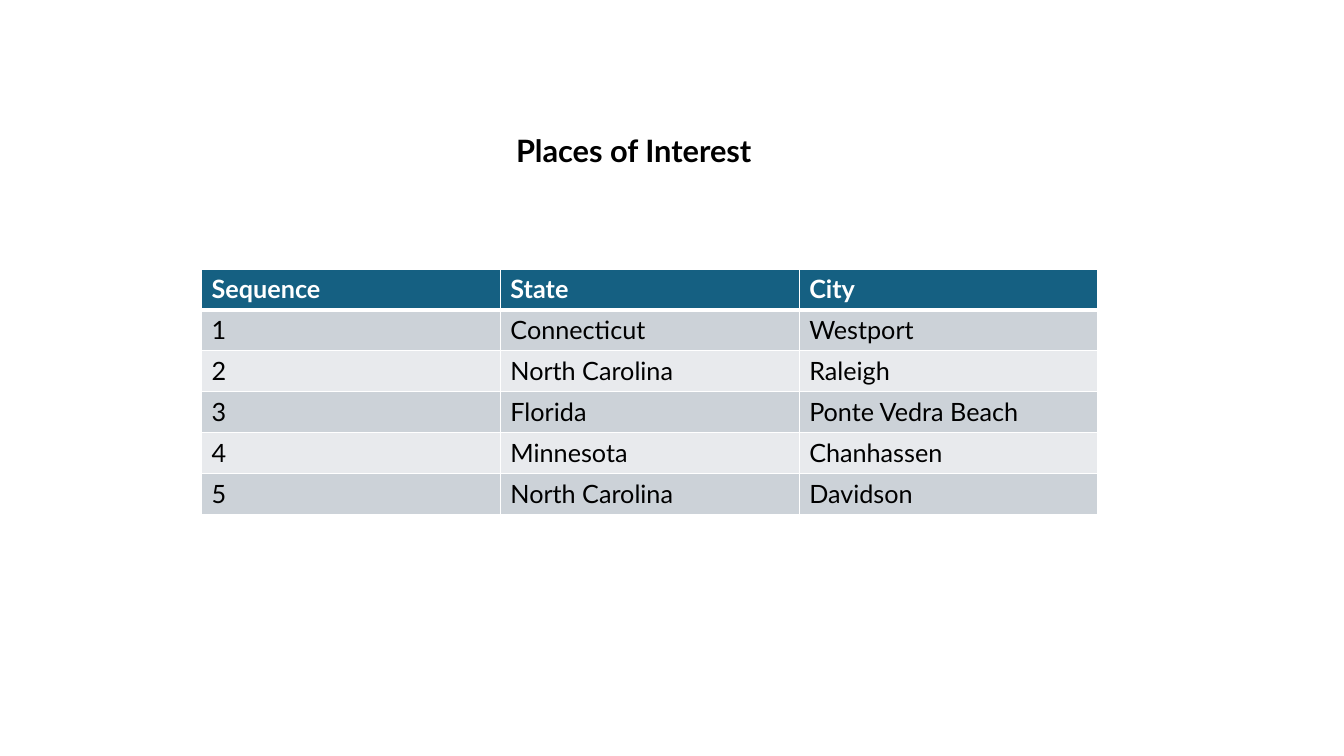
from lxml.etree import SubElement
from pptx import Presentation
from pptx.dml.color import RGBColor
from pptx.enum.text import MSO_ANCHOR as Anchor, MSO_AUTO_SIZE as AutoSize, PP_ALIGN as Align
from pptx.oxml.ns import qn
from pptx.util import Cm, Pt

COLORS = {
    "text": "000000",
    "header": "156082",
    "odd": "CCD2D8",
    "even": "E8EAED",
    "white": "FFFFFF",
}
PLACES = [
    ("Sequence", "State", "City"),
    ("1", "Connecticut", "Westport"),
    ("2", "North Carolina", "Raleigh"),
    ("3", "Florida", "Ponte Vedra Beach"),
    ("4", "Minnesota", "Chanhassen"),
    ("5", "North Carolina", "Davidson"),
]


class PlacesSlide:
    """Hold the font and the current page, and add elements to it."""

    def __init__(self, deck, font="Lato"):
        """Add a title-only page to the deck."""
        self.font = font
        self.page = deck.slides.add_slide(deck.slide_layouts[5])

    def style(self, para, size, color, bold):
        """Format the runs of a left-aligned paragraph."""
        para.alignment = Align.LEFT
        for span in para.runs:
            span.font.name = self.font
            span.font.size = Pt(size)
            span.font.bold = bold
            span.font.color.rgb = RGBColor.from_string(COLORS[color])

    def title(self, text, left, top, width, height):
        """Place and format the title placeholder."""
        box = self.page.shapes.title
        box.left, box.top, box.width, box.height = map(Cm, (left, top, width, height))
        frame = box.text_frame
        frame.text = text
        frame.word_wrap = True
        frame.auto_size = AutoSize.SHAPE_TO_FIT_TEXT
        frame.vertical_anchor = Anchor.TOP
        self.style(frame.paragraphs[0], 22, "text", True)

    def border(self, cell, side, points):
        """Draw one white border of a cell."""
        line = SubElement(cell._tc.get_or_add_tcPr(), qn(f"a:ln{side}"), w=str(Pt(points)))
        fill = SubElement(line, qn("a:solidFill"))
        SubElement(fill, qn("a:srgbClr"), val=COLORS["white"])

    def table(self, rows, left, top, column_width, row_height):
        """Add a table with a dark header and alternating row fills."""
        count, columns = len(rows), len(rows[0])
        frame = self.page.shapes.add_table(
            count, columns, Cm(left), Cm(top),
            Cm(column_width * columns), Cm(row_height * count))
        for index, values in enumerate(rows):
            header = index == 0
            fill = "header" if header else "odd" if index % 2 else "even"
            widths = {"L": 1, "R": 1, "T": 3 if index == 1 else 1, "B": 3 if header else 1}
            for column, value in enumerate(values):
                cell = frame.table.cell(index, column)
                cell.text = value
                self.style(cell.text_frame.paragraphs[0], 18,
                           "white" if header else "text", header)
                for side, points in widths.items():
                    self.border(cell, side, points)
                cell.fill.solid()
                cell.fill.fore_color.rgb = RGBColor.from_string(COLORS[fill])


def main():
    """Build and save the deck."""
    deck = Presentation()
    deck.slide_width, deck.slide_height = Cm(33.87), Cm(19.05)
    slide = PlacesSlide(deck)
    slide.title("Places of Interest", 12.75, 3.2, 7.21, 1.2)
    slide.table(PLACES, 5.08, 6.78, 7.53, 1.03)
    deck.save("out.pptx")


if __name__ == "__main__":
    main()
